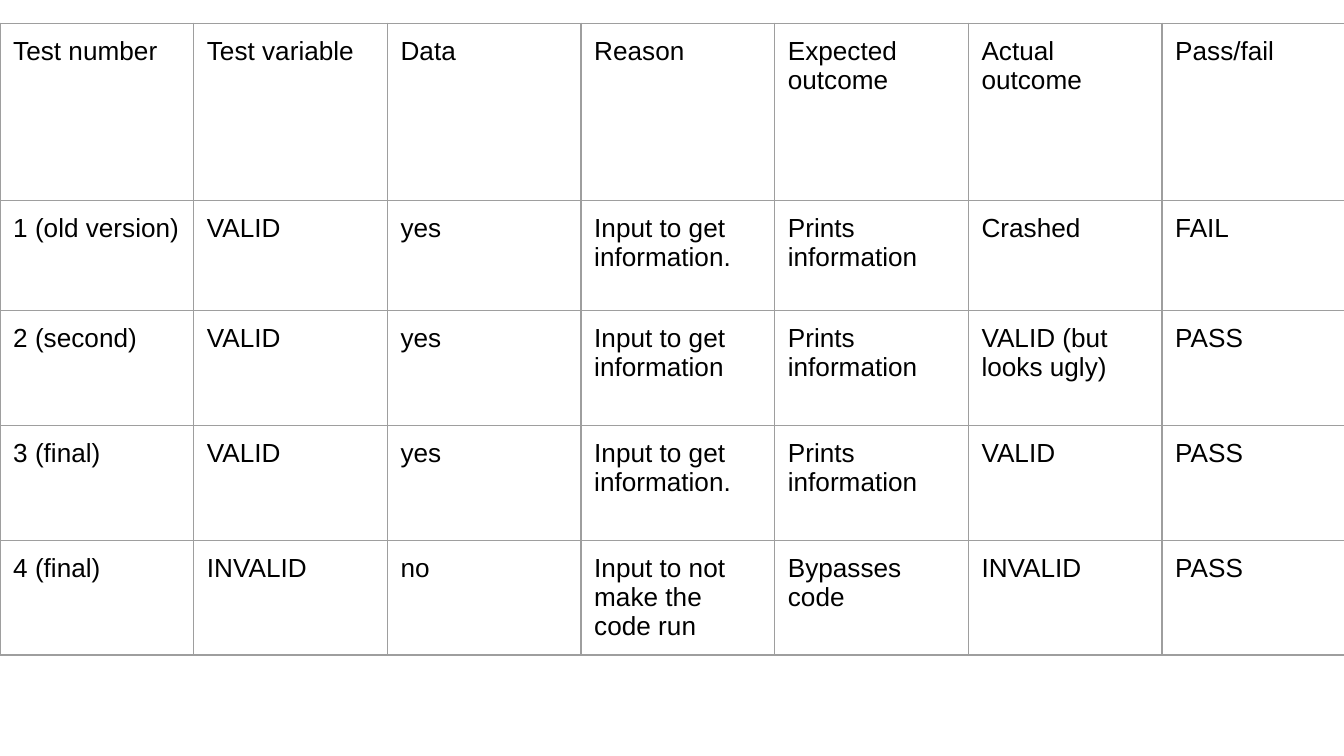
"""Build a slide with a table of program test results."""
from dataclasses import dataclass

from lxml.etree import SubElement
from pptx import Presentation
from pptx.dml.color import RGBColor
from pptx.oxml.ns import qn
from pptx.util import Cm, Pt


@dataclass(frozen=True)
class Theme:
    font: str = "Arial"
    size: float = 14
    text: str = "000000"
    border: str = "9E9E9E"
    border_width: float = 0.75


theme = Theme()


def write(tf, text, font=theme.font, size=theme.size, color=theme.text):
    tf.word_wrap = True
    tf.text = text
    for p in tf.paragraphs:
        for r in p.runs:
            r.font.name = font
            r.font.size = Pt(size)
            r.font.color.rgb = RGBColor.from_string(color)


def add_borders(cell, color=theme.border, width=theme.border_width):
    tc_pr = cell._tc.get_or_add_tcPr()
    for side in ("lnL", "lnR", "lnT", "lnB"):
        ln = SubElement(tc_pr, qn(f"a:{side}"), w=str(Pt(width)))
        fill = SubElement(ln, qn("a:solidFill"))
        SubElement(fill, qn("a:srgbClr"), val=color)


rows = [
    ["Test number", "Test variable", "Data", "Reason",
     "Expected outcome", "Actual outcome", "Pass/fail"],
    ["1 (old version)", "VALID", "yes", "Input to get information.",
     "Prints information", "Crashed", "FAIL"],
    ["2 (second)", "VALID", "yes", "Input to get information",
     "Prints\ninformation", "VALID (but looks ugly)", "PASS"],
    ["3 (final)", "VALID", "yes", "Input to get information.",
     "Prints\ninformation", "VALID", "PASS"],
    ["4 (final)", "INVALID", "no", "Input to not make the code run",
     "Bypasses code", "INVALID", "PASS"],
]
heights = [Cm(3.35), Cm(2.08), Cm(2.17), Cm(2.17), Cm(2.17)]
col_width = Cm(3.66)
margin = Cm(0.25)

prs = Presentation()
prs.slide_width, prs.slide_height = Cm(25.4), Cm(14.29)
s = prs.slides.add_slide(prs.slide_layouts[6])

n_cols = len(rows[0])
table = s.shapes.add_table(len(rows), n_cols, Cm(0), Cm(0.44),
                           col_width * n_cols, sum(heights)).table
table.first_row = False
table.horz_banding = False
for col in table.columns:
    col.width = col_width

for i, (row, height) in enumerate(zip(rows, heights)):
    table.rows[i].height = height
    for j, text in enumerate(row):
        cell = table.cell(i, j)
        cell.margin_left = cell.margin_right = margin
        cell.margin_top = cell.margin_bottom = margin
        add_borders(cell)
        cell.fill.background()
        write(cell.text_frame, text)

prs.save("out.pptx")
